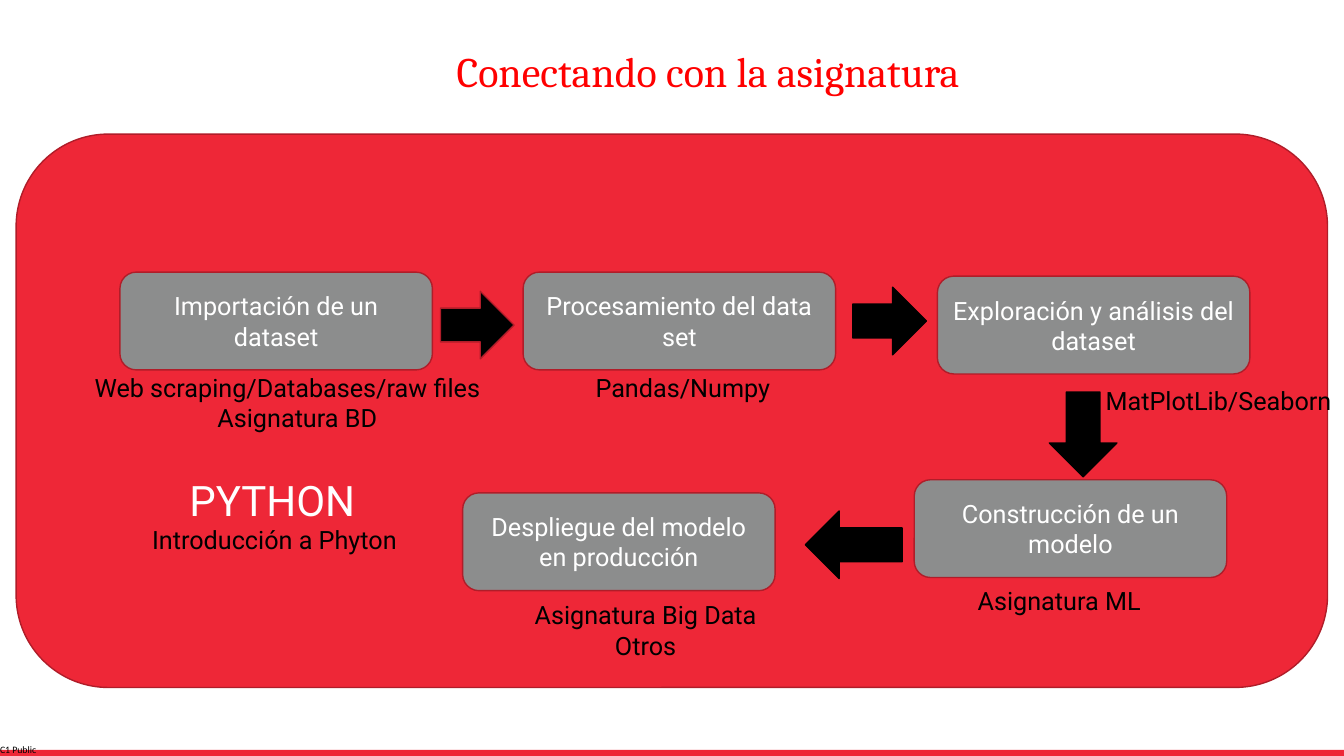
from pptx import Presentation
from pptx import util as u
from pptx.dml import color
from pptx.enum import shapes, text

COLS, ROWS = 160, 90
WIDE, HIGH = u.Inches(13.33), u.Inches(7.5)
HUES = {"red": "EE2737", "edge": "B01D29", "gray": "8C8D8D",
        "black": "000000", "white": "FFFFFF", "title": "FF0000"}
KIND = shapes.MSO_SHAPE
LEFT, MID = text.PP_ALIGN.LEFT, text.PP_ALIGN.CENTER
STEP = (37.2, 11.64)
STEPS = [
    ("Importación de un dataset", 14.28, 32.4),
    ("Procesamiento del data set", 62.28, 32.4),
    ("Exploración y análisis del dataset", 111.6, 32.88),
    ("Construcción de un modelo", 108.84, 57.12),
    ("Despliegue del modelo en producción", 55.08, 58.68),
]
ARROWS = [
    (KIND.RIGHT_ARROW, (52.44, 34.68, 8.76, 8.04), "edge"),
    (KIND.RIGHT_ARROW, (101.52, 34.2, 8.76, 8.04), "black"),
    (KIND.DOWN_ARROW, (124.92, 46.68, 8.04, 10.08), "black"),
    (KIND.LEFT_ARROW, (95.88, 60.84, 11.52, 8.04), "black"),
]
LABELS = [
    ((10.08, 43.68, 50.64, 8.52),
     [("Web scraping/Databases/raw files", LEFT), ("Asignatura BD", MID)]),
    ((69.72, 43.68, 24.6, 4.8), [("Pandas/Numpy", LEFT)]),
    ((130.44, 45.24, 29.52, 4.8), [("MatPlotLib/Seaborn", LEFT)]),
    ((16.92, 61.8, 35.52, 4.8), [("Introducción a Phyton", LEFT)]),
    ((115.2, 69.12, 25.44, 4.8), [("Asignatura ML", LEFT)]),
    ((62.28, 70.8, 29.16, 8.52),
     [("Asignatura Big Data", MID), ("Otros", MID)]),
]


def grid(x, y, w, h):
    return (round(WIDE * x / COLS), round(HIGH * y / ROWS),
            round(WIDE * w / COLS), round(HIGH * h / ROWS))


def tint(hue):
    return color.RGBColor.from_string(HUES[hue])


def write(frame, lines, size=18, hue="black", face="Roboto"):
    frame.word_wrap = True
    for i, (words, align) in enumerate(lines):
        para = frame.add_paragraph() if i else frame.paragraphs[0]
        para.alignment = align
        run = para.add_run()
        run.text = words
        run.font.size = u.Pt(size)
        run.font.name = face
        run.font.color.rgb = tint(hue)


def inset(frame, side, top):
    frame.margin_left = frame.margin_right = u.Inches(side)
    frame.margin_top = frame.margin_bottom = u.Inches(top)


def block(slide, kind, area, fill, edge=None):
    shape = slide.shapes.add_shape(kind, *grid(*area))
    shape.shadow.inherit = False
    shape.fill.solid()
    shape.fill.fore_color.rgb = tint(fill)
    if edge:
        shape.line.color.rgb = tint(edge)
        shape.line.width = u.Pt(1)
    else:
        shape.line.fill.background()
    return shape


def step(slide, words, x, y):
    shape = block(slide, KIND.ROUNDED_RECTANGLE, (x, y, *STEP), "gray", "edge")
    shape.text_frame.vertical_anchor = text.MSO_ANCHOR.MIDDLE
    write(shape.text_frame, [(words, MID)], hue="white")


def label(slide, area, lines, **style):
    frame = slide.shapes.add_textbox(*grid(*area)).text_frame
    write(frame, lines, **style)
    return frame


def title(slide, words):
    shape = slide.shapes.title
    shape.left, shape.top, shape.width, shape.height = grid(27.36, 3, 113.88, 11.52)
    frame = shape.text_frame
    frame.auto_size = text.MSO_AUTO_SIZE.NONE
    frame.vertical_anchor = text.MSO_ANCHOR.MIDDLE
    inset(frame, 0.3, 0.2)
    write(frame, [(words, MID)], 30, "title", "Cambria")
    frame.paragraphs[0].line_spacing = 0.9


def main():
    deck = Presentation()
    deck.slide_width, deck.slide_height = WIDE, HIGH
    slide = deck.slides.add_slide(deck.slide_layouts[5])
    title(slide, "Conectando con la asignatura")
    block(slide, KIND.RECTANGLE, (0, 89.28, COLS, 0.72), "red")
    tag = label(slide, (0, 88.56, 4.56, 1.44), [("C1 Public", LEFT)],
                size=7, face="Calibri")
    inset(tag, 0, 0)
    block(slide, KIND.ROUNDED_RECTANGLE, (1.92, 15.96, 156.12, 65.88),
          "red", "edge")
    for item in STEPS:
        step(slide, *item)
    for kind, area, edge in ARROWS:
        block(slide, kind, area, "black", edge)
    label(slide, (21.36, 55.92, 22.92, 7.32), [("PYTHON", LEFT)],
          size=30, hue="white")
    for area, lines in LABELS:
        label(slide, area, lines)
    deck.save("out.pptx")


if __name__ == "__main__":
    main()
